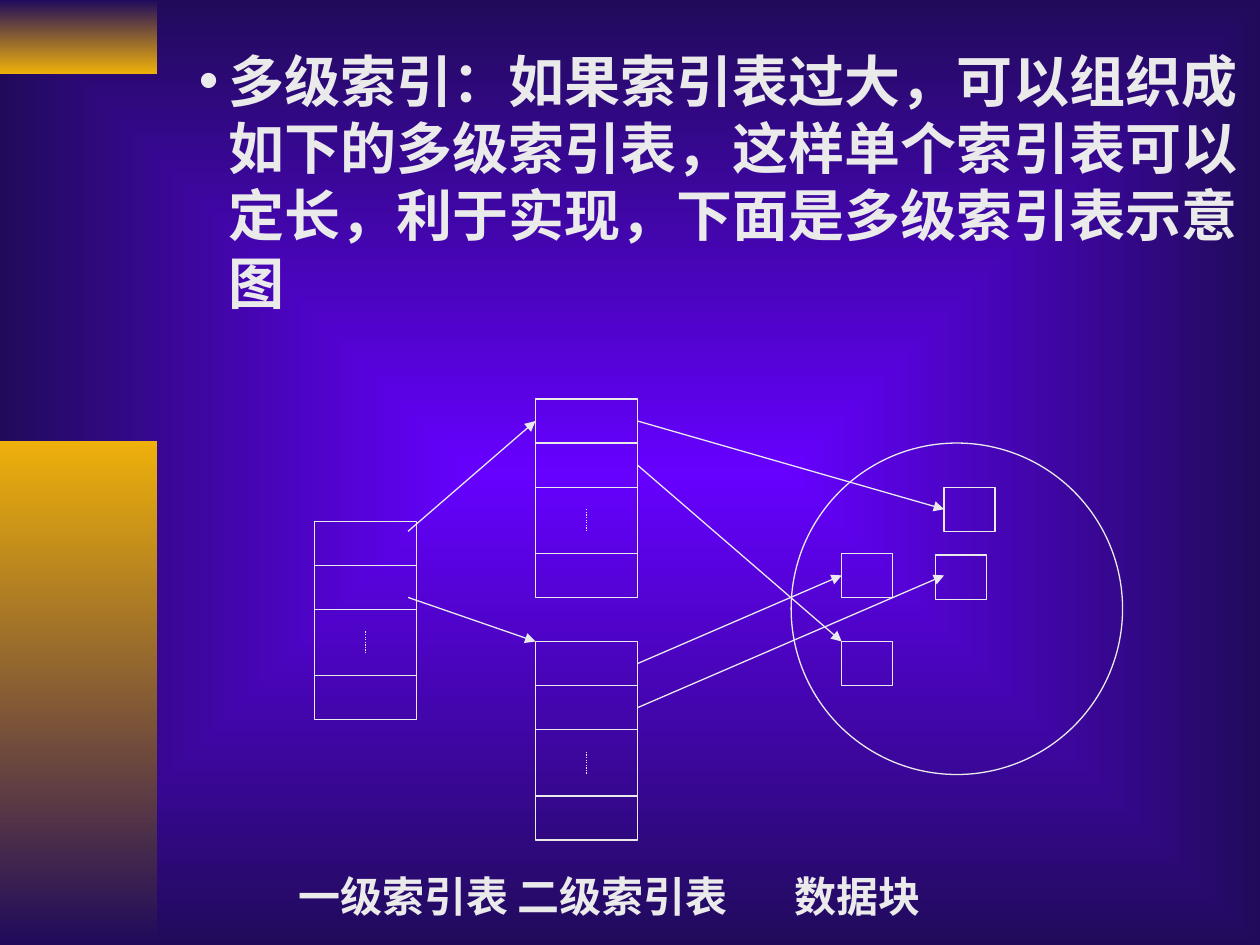
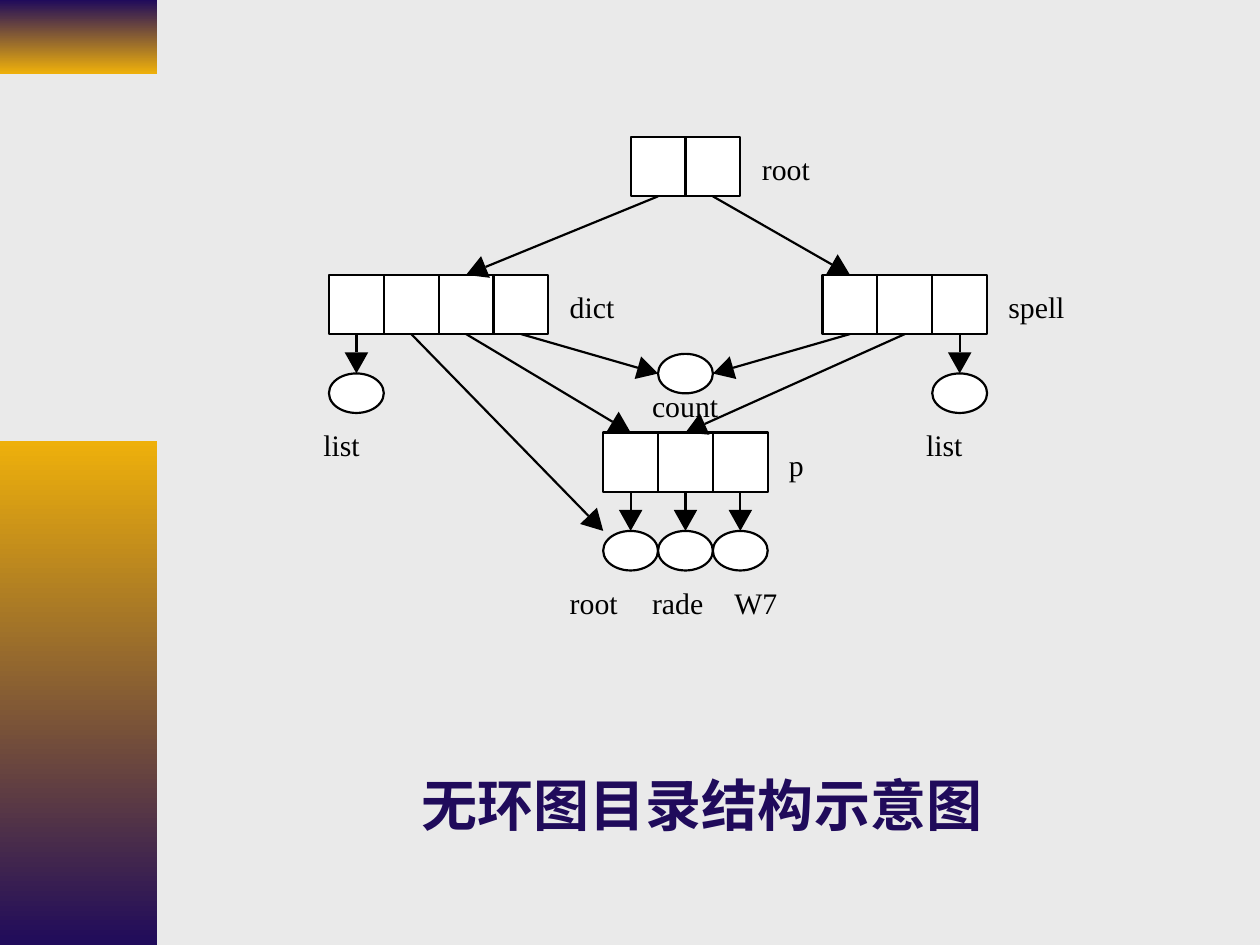
from math import hypot

from lxml import etree
from pptx import Presentation
from pptx.dml.color import RGBColor
from pptx.enum import dml, shapes
from pptx.oxml.ns import qn
from pptx.util import Pt

NAVY = RGBColor(0x20, 0x0B, 0x5B)
VIOLET = RGBColor(0x66, 0x00, 0xFF)
GOLD = RGBColor(0xEE, 0xB0, 0x0B)
PALE = RGBColor(0xEA, 0xEA, 0xEA)
WHITE = RGBColor(0xFF, 0xFF, 0xFF)
BLACK = RGBColor(0x00, 0x00, 0x00)
CJK, LATIN = "Noto Sans CJK SC", "Times New Roman"
RECT, OVAL = shapes.MSO_SHAPE.RECTANGLE, shapes.MSO_SHAPE.OVAL

# Shared side bands: frame, top colour, bottom colour
BANDS = [((0, 0, 90, 42), NAVY, GOLD), ((0, 252, 90, 288), GOLD, NAVY)]

# Slide 1: multi-level index
INDEX_TEXT = ("多级索引：如果索引表过大，可以组织成如下的多级索引表，"
              "这样单个索引表可以定长，利于实现，下面是多级索引表示意图")
INDEX_CAPTION = "一级索引表 二级索引表\t数据块"
CAPTION_TAB = 283.5
BULLET_INDENT = 17
UNIT = 12.6                      # tables are nine units high
TABLE_WIDTH, TABLE_UNITS = 58.3, 9
ROW_LINES, DOTS = (2, 4, 7), (5, 6)
LEVEL_ONE, LEVEL_TWO_TOP, LEVEL_TWO_LOW = (179.6, 297.8), (306, 228), (306, 366.6)
DATA_AREA = (452.1, 253.2, 189.4, 189.4)
BLOCKS = [(539.5, 278.4), (481, 366.6), (534.5, 317.2), (481, 316.2)]
BLOCK_SIZE = (29.2, 25.2)
POINTERS = [((233.2, 303.6), (306, 240.6)), ((233.2, 341.4), (306, 366.6))]
# Table, row, target
BLOCK_POINTERS = [
    (LEVEL_TWO_TOP, 0, (539.5, 291)), (LEVEL_TWO_TOP, 1, (481, 366.6)),
    (LEVEL_TWO_LOW, 0, (481, 328.8)), (LEVEL_TWO_LOW, 1, (539.5, 328.8)),
]

# Slide 2: acyclic directory graph, with x counted in cell columns
GRAPH_TITLE = "无环图目录结构示意图"
GRID_LEFT, CELL_WIDTH, CELL_HEIGHT, FILE_HEIGHT = 188, 31.34, 33.8, 22.6
ROOT_Y, DIR_Y, P_Y = 78.4, 157.1, 247.2
LIST_Y, COUNT_Y, P_FILE_Y = 213.4, 202.2, 303.4
COUNT_MID = COUNT_Y + FILE_HEIGHT / 2
# First column, top, number of cells
DIRECTORIES = [(5.5, ROOT_Y, 2), (0, DIR_Y, 4), (5, P_Y, 3), (9, DIR_Y, 3)]
FILES = [(0, LIST_Y), (6, COUNT_Y), (5, P_FILE_Y), (6, P_FILE_Y),
         (7, P_FILE_Y), (11, LIST_Y)]
# Start column, top of the directory left, end column, end height
LINKS = [
    (6, ROOT_Y, 2.5, DIR_Y), (7, ROOT_Y, 9.5, DIR_Y),
    (3.5, DIR_Y, 6, COUNT_MID), (9.5, DIR_Y, 7, COUNT_MID),
    (11.5, DIR_Y, 11.5, LIST_Y), (0.5, DIR_Y, 0.5, LIST_Y),
    (5.5, P_Y, 5.5, P_FILE_Y), (6.5, P_Y, 6.5, P_FILE_Y),
    (7.5, P_Y, 7.5, P_FILE_Y), (2.5, DIR_Y, 5.5, P_Y),
    (1.5, DIR_Y, 5, P_FILE_Y), (10.5, DIR_Y, 6.5, P_Y),
]
HEAD_LENGTH, HEAD_HALF = 12, 6.7
# Wording, left, top, width
LABELS = [
    ("root", 435.4, 86.4, 30), ("dict", 325.6, 165, 28), ("spell", 576.2, 165, 36),
    ("list", 184.8, 244, 24), ("root", 325.6, 334, 30), ("rade", 372.6, 334, 32),
    ("W7", 419.6, 334, 28), ("list", 529.2, 244, 24), ("count", 372.6, 221.4, 42),
    ("p", 450.8, 255.2, 12),
]


def set_gradient(fill, first, last):
    fill.gradient()
    fill.gradient_angle = 270
    for stop, colour, place in zip(fill.gradient_stops, (first, last), (0, 1)):
        stop.color.rgb = colour
        stop.position = place


def make_radial(gradient):
    """Turn a linear gradient element into one that spreads from the centre."""
    linear = gradient.find(qn("a:lin"))
    path = etree.Element(qn("a:path"), path="rect")
    etree.SubElement(path, qn("a:fillToRect"), dict.fromkeys("ltrb", "50000"))
    gradient.replace(linear, path)


def add_shape(page, kind, frame, line=None, width=0.75, fill=None):
    shape = page.shapes.add_shape(kind, *map(Pt, frame))
    shape.shadow.inherit = False
    if fill is None:
        shape.fill.background()
    else:
        shape.fill.solid()
        shape.fill.fore_color.rgb = fill
    if line is None:
        shape.line.fill.background()
    else:
        shape.line.color.rgb = line
        shape.line.width = Pt(width)
    return shape


def add_line(page, start, end, colour=PALE, width=0.75, dotted=False, arrow=False):
    line = page.shapes.add_connector(shapes.MSO_CONNECTOR.STRAIGHT, *map(Pt, start + end))
    line.line.color.rgb = colour
    line.line.width = Pt(width)
    if dotted:
        line.line.dash_style = dml.MSO_LINE.ROUND_DOT
    if arrow:
        etree.SubElement(line.line._get_or_add_ln(), qn("a:tailEnd"), type="triangle")
    etree.SubElement(line.element.spPr, qn("a:effectLst"))


def add_box(page, frame, wording, size, colour, font=CJK):
    box = page.shapes.add_textbox(*map(Pt, frame))
    body = box.text_frame
    body.word_wrap = True
    para = body.paragraphs[0]
    span = para.add_run()
    span.text = wording
    span.font.name = font
    span.font.size = Pt(size)
    span.font.color.rgb = colour
    if font == CJK:
        span.font.bold = True
        etree.SubElement(span.font._element, qn("a:ea"), typeface=CJK)
        para.line_spacing = Pt(size * 1.2)
    else:
        body.margin_left = body.margin_right = body.margin_top = body.margin_bottom = 0
    return para


def add_page(deck):
    page = deck.slides.add_slide(deck.slide_layouts[6])
    for frame, top, bottom in BANDS:
        set_gradient(add_shape(page, RECT, frame).fill, top, bottom)
    return page


def add_index_table(page, left, top):
    right, middle = left + TABLE_WIDTH, left + TABLE_WIDTH / 2
    add_shape(page, RECT, (left, top, TABLE_WIDTH, TABLE_UNITS * UNIT), PALE)
    for row in ROW_LINES:
        y = top + row * UNIT
        add_line(page, (left, y), (right, y))
    first, last = (top + row * UNIT for row in DOTS)
    add_line(page, (middle, first), (middle, last), dotted=True)


def build_index_page(deck):
    page = add_page(deck)
    set_gradient(page.background.fill, VIOLET, NAVY)
    make_radial(page.element.find(".//" + qn("p:bgPr")).find(qn("a:gradFill")))
    for table in (LEVEL_TWO_LOW, LEVEL_TWO_TOP, LEVEL_ONE):
        add_index_table(page, *table)
    add_shape(page, OVAL, DATA_AREA, PALE)
    for block in BLOCKS:
        add_shape(page, RECT, block + BLOCK_SIZE, PALE)
    for start, end in POINTERS:
        add_line(page, start, end, arrow=True)
    for (left, top), row, end in BLOCK_POINTERS:
        start = (left + TABLE_WIDTH, top + (2 * row + 1) * UNIT)
        add_line(page, start, end, arrow=True)

    para = add_box(page, (106.6, 23, 613.4, 161.3), INDEX_TEXT, 32, PALE)
    props = para._p.get_or_add_pPr()
    props.set("marL", str(Pt(BULLET_INDENT)))
    props.set("indent", str(-Pt(BULLET_INDENT)))
    etree.SubElement(props, qn("a:buFont"), typeface="Arial")
    etree.SubElement(props, qn("a:buChar"), char="•")

    para = add_box(page, (163.4, 494, 422, 36), INDEX_CAPTION, 24, PALE)
    tabs = etree.SubElement(para._p.get_or_add_pPr(), qn("a:tabLst"))
    etree.SubElement(tabs, qn("a:tab"), pos=str(Pt(CAPTION_TAB)), algn="l")


def column_x(column):
    return GRID_LEFT + column * CELL_WIDTH


def add_link(page, start, tip):
    """Draw a line that ends in a large solid triangle."""
    length = hypot(tip[0] - start[0], tip[1] - start[1])
    dx, dy = (tip[0] - start[0]) / length, (tip[1] - start[1]) / length
    base = (tip[0] - HEAD_LENGTH * dx, tip[1] - HEAD_LENGTH * dy)
    add_line(page, start, base, BLACK, 1.25)
    corners = [(base[0] - side * dy, base[1] + side * dx) for side in (HEAD_HALF, -HEAD_HALF)]
    builder = page.shapes.build_freeform(Pt(tip[0]), Pt(tip[1]))
    builder.add_line_segments([(Pt(x), Pt(y)) for x, y in corners], close=True)
    head = builder.convert_to_shape()
    head.shadow.inherit = False
    head.fill.solid()
    head.fill.fore_color.rgb = BLACK
    head.line.fill.background()


def build_graph_page(deck):
    page = add_page(deck)
    page.background.fill.solid()
    page.background.fill.fore_color.rgb = PALE
    for first, top, count in DIRECTORIES:
        for cell in range(count):
            frame = (column_x(first + cell), top, CELL_WIDTH, CELL_HEIGHT)
            add_shape(page, RECT, frame, BLACK, 1.25, WHITE)
    for column, top in FILES:
        frame = (column_x(column), top, CELL_WIDTH, FILE_HEIGHT)
        add_shape(page, OVAL, frame, BLACK, 1.25, WHITE)
    for column, top, end_column, end_y in LINKS:
        add_link(page, (column_x(column), top + CELL_HEIGHT), (column_x(end_column), end_y))
    for wording, left, top, width in LABELS:
        add_box(page, (left, top, width, 20), wording, 17, BLACK, LATIN)
    add_box(page, (234, 437, 337, 46), GRAPH_TITLE, 32, NAVY)


def main():
    deck = Presentation()
    deck.slide_width, deck.slide_height = Pt(720), Pt(540)
    build_index_page(deck)
    build_graph_page(deck)
    deck.save("out.pptx")


if __name__ == "__main__":
    main()
